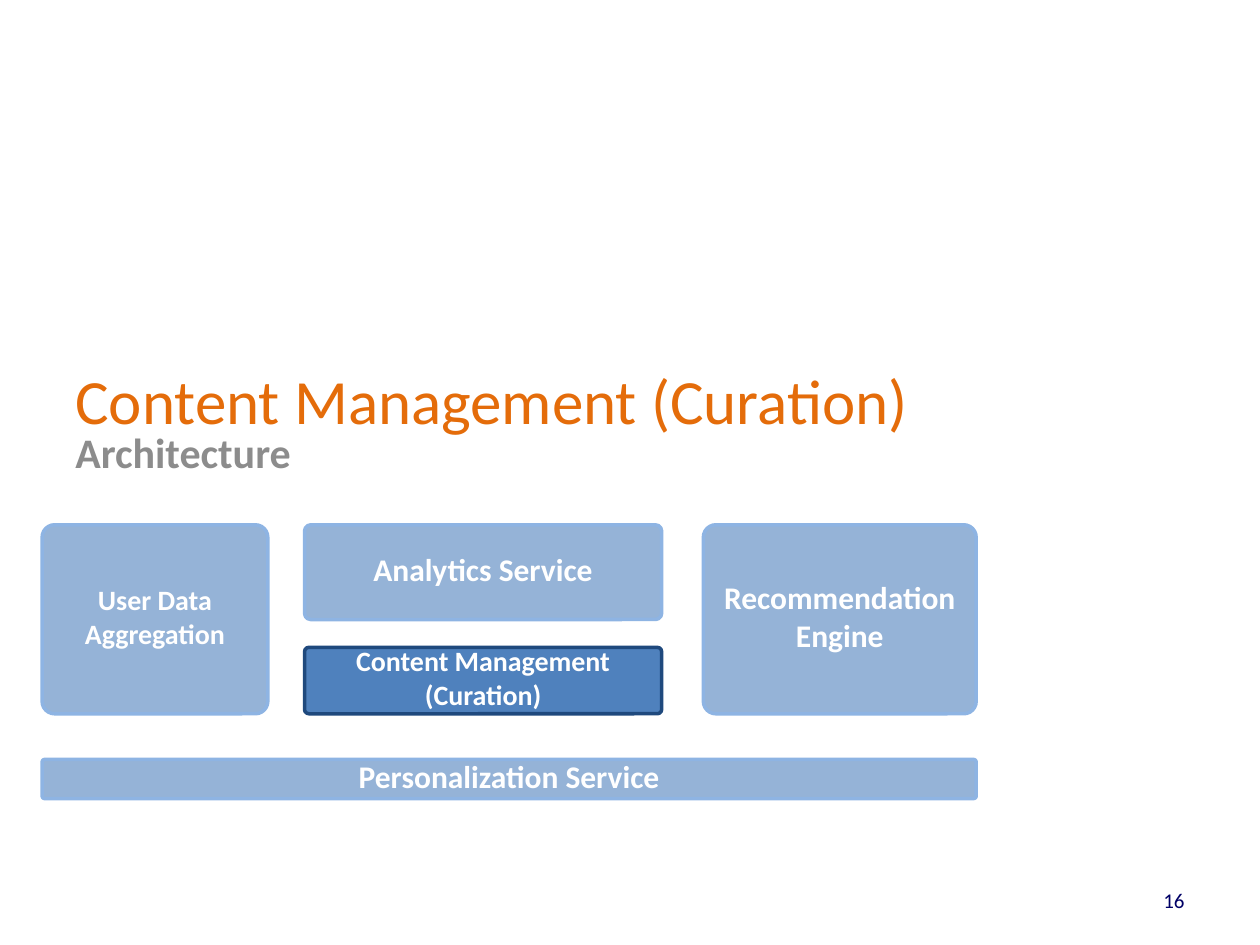
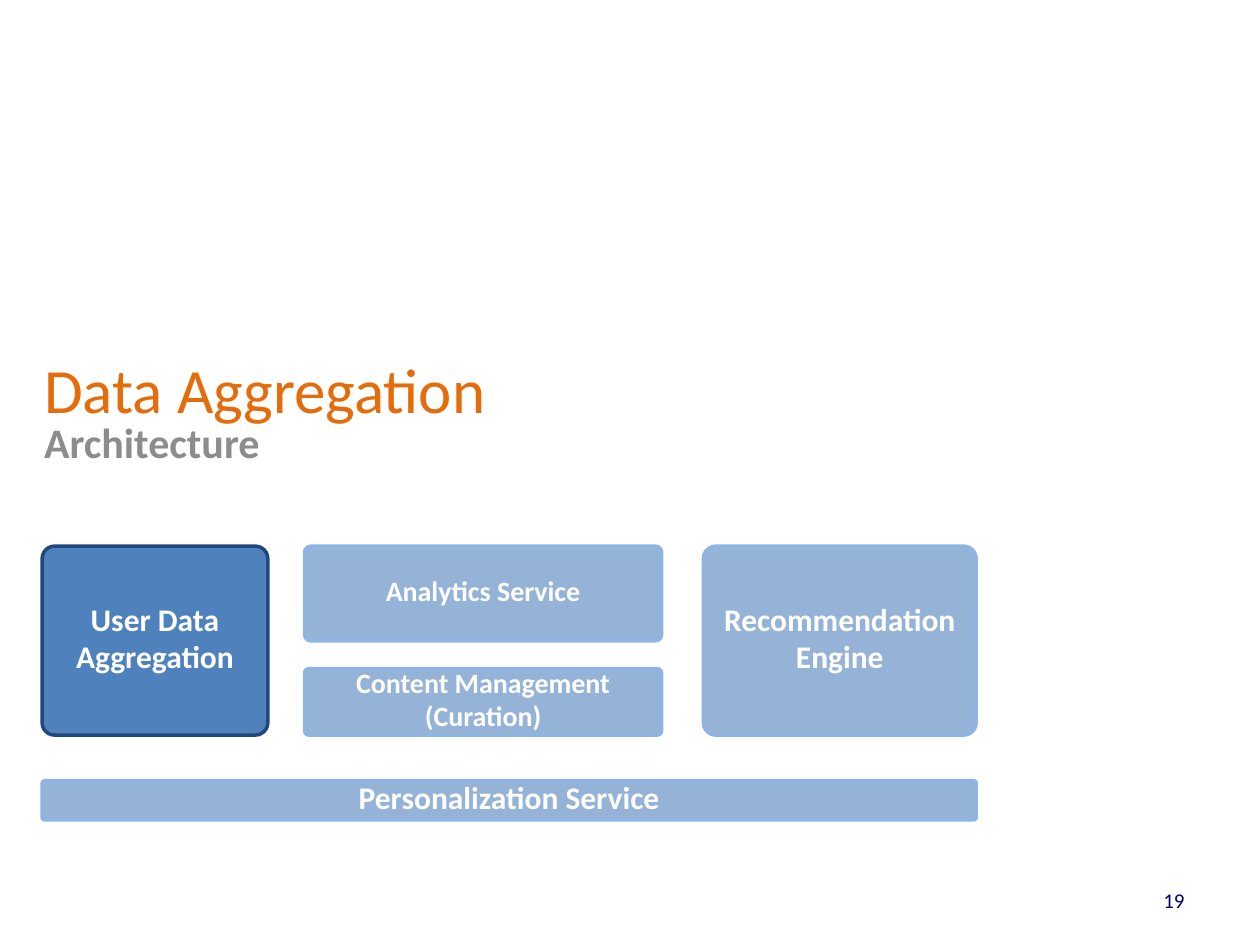
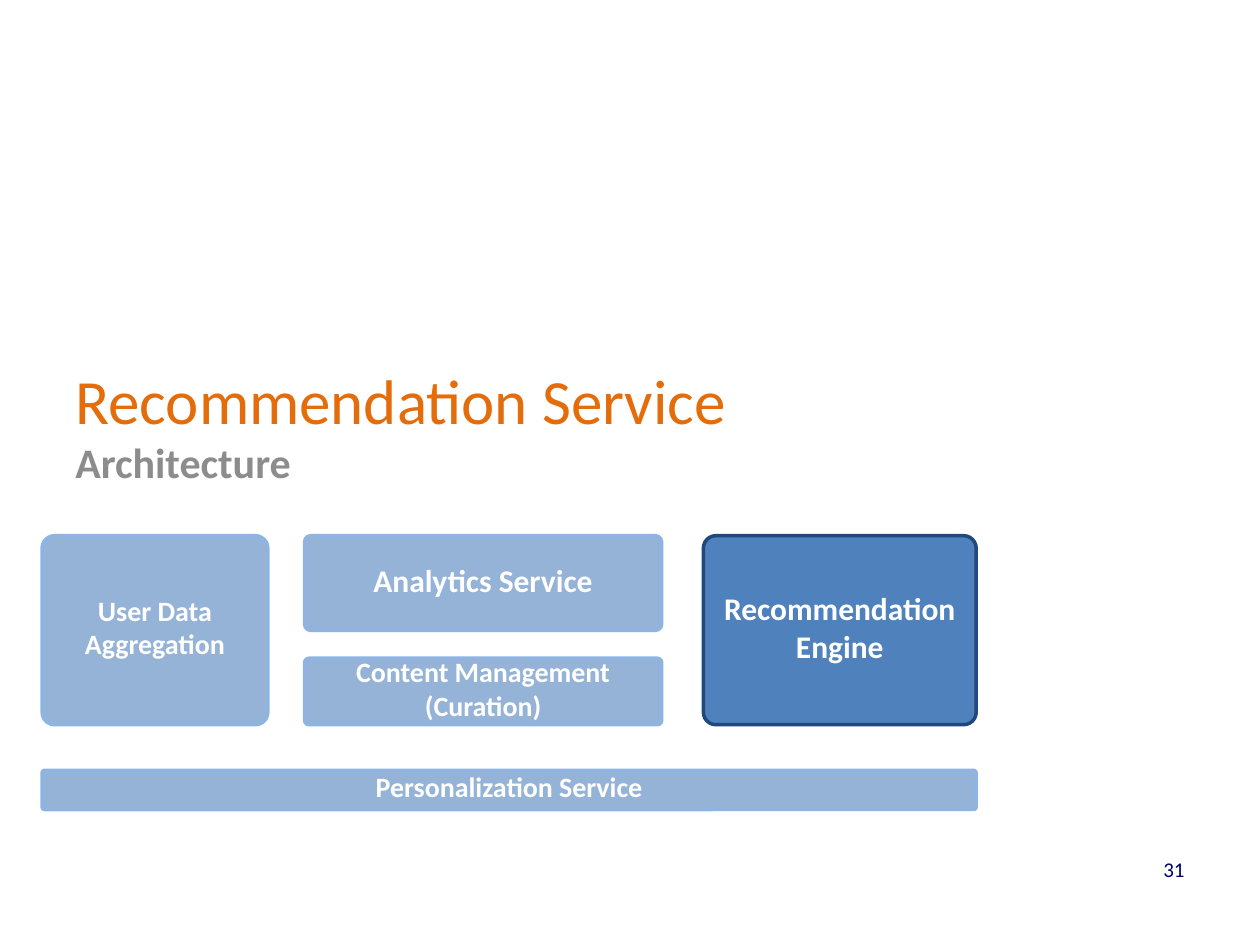
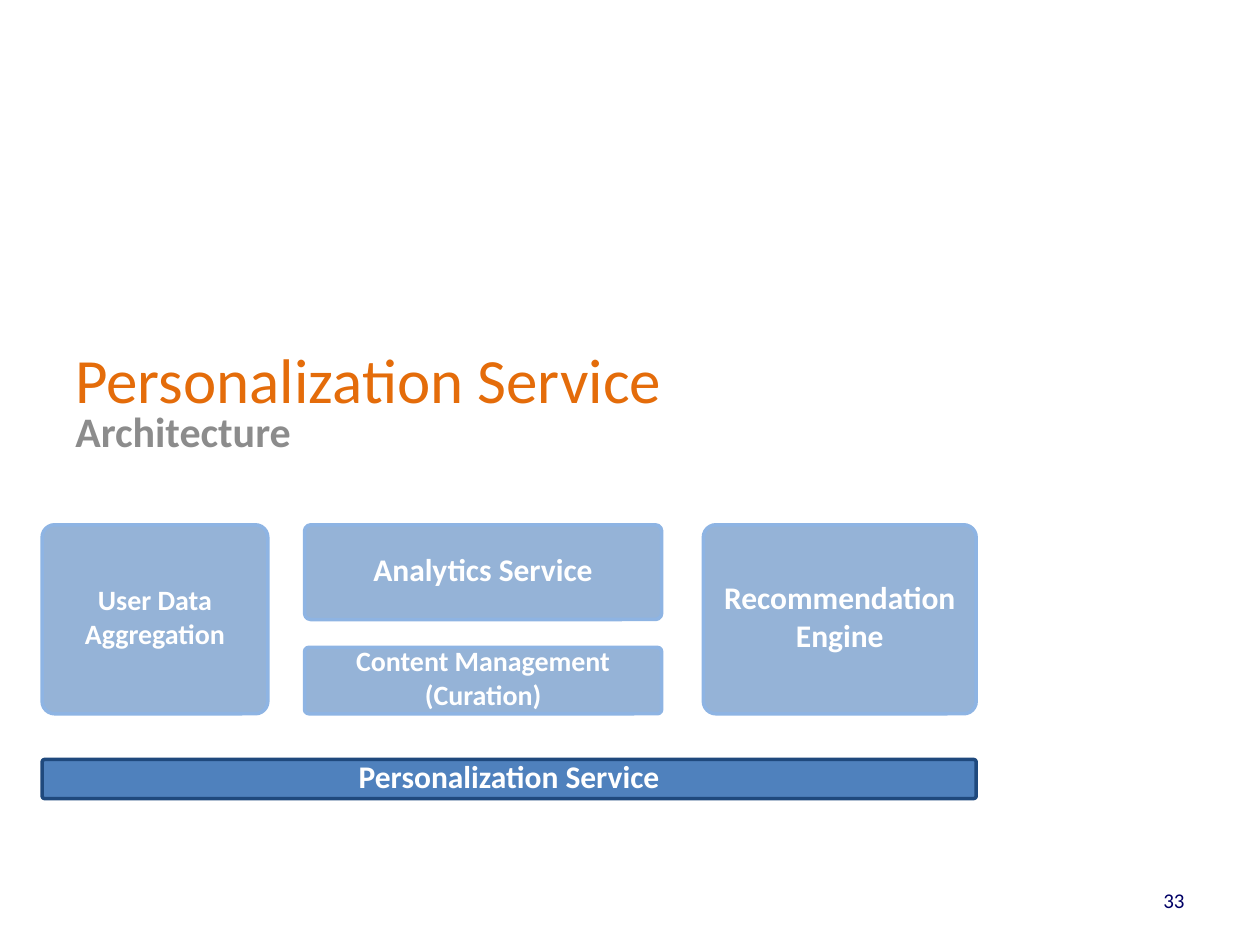
from dataclasses import dataclass
from pptx import Presentation
from pptx.dml.color import RGBColor as RGB
from pptx.enum.shapes import MSO_SHAPE as Form
from pptx.enum.text import MSO_ANCHOR as Anchor, PP_ALIGN as Align
from pptx.util import Cm, Pt

# Content: each slide lights one part; "small" parts have the lesser type size
SLIDES = [
    dict(title="Content Management (Curation)", page="16", lit="content",
         small=("user", "content"), left=1.27, wide=17.78, top=6.56,
         sub=8.47, grid=10.58, foot=17.65),
    dict(title="Data Aggregation", page="19", lit="user",
         small=("stats", "content"), left=0.64, wide=15.66, top=6.35,
         sub=8.26, grid=11.01, foot=17.65),
    dict(title="Recommendation Service", page="31", lit="engine",
         small=("user", "content", "base"), left=1.27, wide=17.78, top=6.56,
         sub=8.68, grid=10.8, foot=17.02),
    dict(title="Personalization Service", page="33", lit="base",
         small=("user", "content"), left=1.27, wide=17.78, top=6.14,
         sub=8.05, grid=10.58, foot=17.65),
]
SUB = "Architecture"
PARTS = {
    "base": "Personalization Service",
    "engine": "Recommendation Engine",
    "user": "User Data Aggregation",
    "stats": "Analytics Service",
    "content": "Content Management (Curation)",
}


@dataclass(frozen=True)
class Theme:
    font: str = "Calibri"
    title: str = "E46C0A"
    sub: str = "8C8C8C"
    page: str = "000066"
    white: str = "FFFFFF"
    lit: tuple = ("4F81BD", "1F497D")  # fill, line
    dim: tuple = ("95B3D7", "8EB4E3")
    title_pt: int = 36
    sub_pt: int = 24
    big_pt: int = 18
    small_pt: int = 16
    page_pt: int = 12
    line_pt: int = 2
    round: float = 0.066


THEME = Theme()

# Diagram grid in cm: three columns over a full-width base
COLS = [(0.85, 4.55), (6.14, 7.2), (14.18, 5.5)]
TALL, UPPER, LOWER, BASE, GAP = 3.81, 1.91, 1.34, 0.79, 0.92


def place():
    """Return left, offset from the grid top, width and height of each part."""
    first, mid, last = COLS
    full = last[0] + last[1] - first[0]

    def cell(col, drop, high):
        return col[0], drop, col[1], high

    return {
        "user": cell(first, 0, TALL),
        "stats": cell(mid, 0, UPPER),
        "content": cell(mid, TALL - LOWER, LOWER),
        "engine": cell(last, 0, TALL),
        "base": cell((first[0], full), TALL + GAP, BASE),
    }


def write(shape, text, size, color, bold=False, align=Align.LEFT,
          anchor=Anchor.MIDDLE, pad=(0.25, 0.13, 0.25, 0.13)):
    frame = shape.text_frame
    left, top, right, low = map(Cm, pad)
    look = dict(word_wrap=True, vertical_anchor=anchor, margin_left=left,
                margin_top=top, margin_right=right, margin_bottom=low)
    for key, value in look.items():
        setattr(frame, key, value)
    para = frame.paragraphs[0]
    para.alignment = align
    run = para.add_run()
    run.text = text
    for key, value in dict(name=THEME.font, size=Pt(size), bold=bold).items():
        setattr(run.font, key, value)
    run.font.color.rgb = RGB.from_string(color)


def label(slide, area, *text, **look):
    write(slide.shapes.add_textbox(*map(Cm, area)), *text, **look)


def block(slide, area, text, size, tones):
    shape = slide.shapes.add_shape(Form.ROUNDED_RECTANGLE, *map(Cm, area))
    shape.adjustments[0] = THEME.round
    shape.shadow.inherit = False
    fill, line = map(RGB.from_string, tones)
    shape.fill.solid()
    shape.fill.fore_color.rgb = fill
    shape.line.color.rgb = line
    shape.line.width = Pt(THEME.line_pt)
    write(shape, text, size, THEME.white, bold=True, align=Align.CENTER,
          pad=(0.25, 0, 0.25, 0.13))


def draw(slide, data):
    # Title, subtitle and page number
    left = data["left"]
    label(slide, (left, data["top"], data["wide"], 2.97),
          data["title"], THEME.title_pt, THEME.title)
    label(slide, (left, data["sub"], 13.13, 2.11),
          SUB, THEME.sub_pt, THEME.sub, bold=True, anchor=Anchor.TOP)
    label(slide, (18.2, data["foot"], 5.93, 1.01),
          data["page"], THEME.page_pt, THEME.page, align=Align.RIGHT)

    # Architecture diagram
    spots = place()
    for key, text in PARTS.items():
        x, drop, wide, high = spots[key]
        size = THEME.small_pt if key in data["small"] else THEME.big_pt
        tones = THEME.lit if key == data["lit"] else THEME.dim
        block(slide, (x, data["grid"] + drop, wide, high), text, size, tones)


def main():
    deck = Presentation()
    deck.slide_width, deck.slide_height = Cm(25.4), Cm(19.05)
    blank = deck.slide_layouts[6]
    for data in SLIDES:
        draw(deck.slides.add_slide(blank), data)
    deck.save("out.pptx")


if __name__ == "__main__":
    main()
